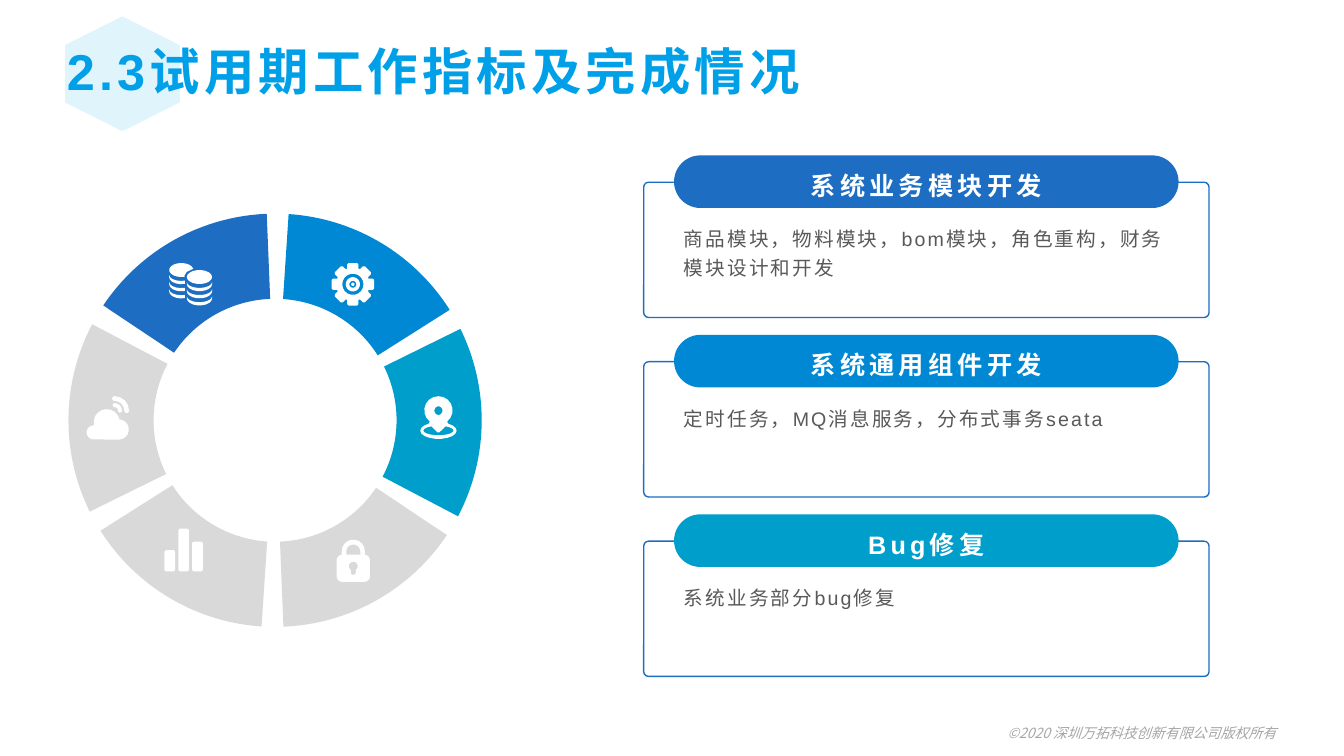
from math import cos, radians, sin

from lxml.etree import SubElement
from pptx import Presentation
from pptx.dml.color import RGBColor
from pptx.enum.shapes import MSO_SHAPE
from pptx.enum.text import MSO_ANCHOR, MSO_AUTO_SIZE, PP_ALIGN
from pptx.oxml.ns import qn
from pptx.util import Pt

COLORS = {
    "title": "00A0E9", "badge": "E0F4FC", "navy": "1D6DC2", "blue": "0088D5",
    "teal": "009ECA", "gray": "D9D9D9", "white": "FFFFFF", "body": "595959",
    "footer": "A6A6A6",
}
PANELS = [
    ("系统业务模块开发", "商品模块，物料模块，bom模块，角色重构，财务模块设计和开发", "navy"),
    ("系统通用组件开发", "定时任务，MQ消息服务，分布式事务seata", "blue"),
    ("Bug修复", "系统业务部分bug修复", "teal"),
]


def color(name):
    """Return the named colour."""
    return RGBColor.from_string(COLORS[name])


def paint(shape, fill, line=None):
    """Give a shape a flat fill and line; None leaves either out."""
    shape.shadow.inherit = False
    if fill:
        shape.fill.solid()
        shape.fill.fore_color.rgb = color(fill)
    else:
        shape.fill.background()
    if line:
        shape.line.color.rgb = color(line)
        shape.line.width = Pt(1)
    else:
        shape.line.fill.background()


def add_part(slide, kind, box, fill, adjustments=(), rotation=0, line=None):
    """Add a preset shape."""
    shape = slide.shapes.add_shape(kind, *map(Pt, box))
    shape.rotation = rotation
    for index, value in enumerate(adjustments):
        shape.adjustments[index] = value
    paint(shape, fill, line)
    return shape


def write_text(text_frame, text, size, fill, font="Arial", bold=False, italic=False,
               spacing=0, align=PP_ALIGN.LEFT, anchor=MSO_ANCHOR.TOP, line_spacing=1.0):
    """Fill a text frame with one formatted paragraph."""
    text_frame.word_wrap = True
    text_frame.auto_size = MSO_AUTO_SIZE.NONE
    text_frame.vertical_anchor = anchor
    text_frame.text = text
    paragraph = text_frame.paragraphs[0]
    paragraph.alignment = align
    paragraph.line_spacing = line_spacing
    for run in paragraph.runs:
        run.font.size = Pt(size)
        run.font.bold = bold
        run.font.italic = italic
        run.font.color.rgb = color(fill)
        run.font.name = font
        properties = run.font._element
        properties.set("spc", str(int(spacing * 100)))
        SubElement(properties, qn("a:ea")).set("typeface", "Noto Sans CJK SC")


def add_header(slide, left, top, width, height):
    """Place the badge and the title."""
    badge = add_part(slide, MSO_SHAPE.HEXAGON, (left + 6.6, top - 13.2, 82, 82),
                     "badge", rotation=90)
    title = slide.shapes.title
    title._element.addprevious(badge._element)
    title.left, title.top, title.width, title.height = map(Pt, (left, top, width, height))
    frame = title.text_frame
    frame.margin_left, frame.margin_right = Pt(8), Pt(6)
    frame.margin_top = frame.margin_bottom = Pt(3)
    write_text(frame, "2.3试用期工作指标及完成情况", 36, "title", bold=True,
               spacing=3, anchor=MSO_ANCHOR.MIDDLE)


def add_footer(slide, left, top, width, height):
    """Place the copyright line."""
    box = slide.shapes.add_textbox(*map(Pt, (left, top, width, height)))
    write_text(box.text_frame, "©2020 深圳万拓科技创新有限公司版权所有", 10, "footer",
               font="Noto Sans CJK SC", italic=True, align=PP_ALIGN.RIGHT,
               anchor=MSO_ANCHOR.MIDDLE)


def arc(x, y, radius_x, radius_y, start=0, end=360):
    """Return points along an elliptical arc, in degrees clockwise from the right."""
    steps = max(3, round(abs(end - start) / 20))
    angles = [radians(start + (end - start) * step / steps) for step in range(steps + 1)]
    return [(x + radius_x * cos(angle), y + radius_y * sin(angle)) for angle in angles]


def coins():
    """Return the outlines of two stacks of coins."""
    outlines = [arc(21.6, 10, 9, 5), arc(8.65, 5, 8.65, 5, 73, 350) + [(12.5, 6.3), (10.8, 9)]]
    for x, y, radius, start in ((8.65, 5, 8.65, 73), (21.6, 10, 9, 0)):
        for level in (1, 2, 3):
            middle = y + 5.1 * level
            outlines.append(arc(x, middle, radius, 5, start, 180)
                            + arc(x, middle - 1.5, radius, 4.2, 180, start))
    return outlines


def gear():
    """Return the outlines of an eight-toothed gear."""
    teeth = []
    for angle in range(0, 360, 45):
        turn = radians(angle)
        for x, y in ((11.2, -4), (14.2, -4), (15.2, -3), (15.2, 3), (14.2, 4), (11.2, 4)):
            teeth.append((15.2 + x * cos(turn) - y * sin(turn),
                          15.2 + x * sin(turn) + y * cos(turn)))
    return [teeth] + [arc(15.2, 15.2, radius, radius) for radius in (7.6, 5.1, 2.5, 1.2)]


def pin():
    """Return the outlines of a map pin standing in a ring."""
    return [
        arc(13, 24.6, 13, 5.9, -58, 238) + arc(13, 10.1, 10.1, 10.1, 128, 412),
        arc(13, 10.3, 2.9, 3.1),
        arc(13, 24.5, 10.8, 3.4, -62, 242) + [(12.4, 25.9), (13.6, 25.9)],
    ]


def lock():
    """Return the outlines of a padlock."""
    body = arc(11.9, 8.5, 8.3, 8.5, 180, 360)
    for x, y, start, end in ((19.8, 14.8, -84, 0), (19.8, 26.2, 0, 90),
                             (4, 26.2, 90, 180), (4, 14.8, 180, 264)):
        body += arc(x, y, 4, 4, start, end)
    return [body,
            arc(11.9, 8.5, 5, 5, 180, 360) + [(16.9, 10.8), (6.9, 10.8)],
            arc(11.9, 19, 3.2, 3.2, 125, 415) + arc(11.9, 23.4, 1.8, 1.8, 0, 180)]


def bars():
    """Return the outlines of three columns."""
    outlines = []
    for index, height in enumerate((15.2, 30.6, 21.3)):
        left, top = index * 9.9, 30.6 - height
        right = left + 7.6
        outlines.append([(left, top + 1), (left + 1, top), (right - 1, top), (right, top + 1),
                         (right, 29.6), (right - 1, 30.6), (left + 1, 30.6), (left, 29.6)])
    return outlines


def cloud():
    """Return the outlines of a cloud with two signal arcs."""
    outlines = [arc(14.4, 18.7, 9.4, 9.4, 170, 345) + arc(23, 23.8, 7.2, 7.2, -90, 90)
                + arc(5, 25.9, 5, 5, 90, 270)]
    for outer, inner in ((10.3, 6.9), (5.3, 2.5)):
        middle, cap = (outer + inner) / 2, (outer - inner) / 2
        outlines.append(arc(20, 10.3, outer, outer, -90, 0)
                        + arc(20 + middle, 10.3, cap, cap, 0, 180)
                        + arc(20, 10.3, inner, inner, 0, -90)
                        + arc(20, 10.3 - middle, cap, cap, 90, 270))
    return outlines


def add_icon(slide, outlines, left, top):
    """Draw outlines as one white shape with its corner at the given point."""
    builder = None
    for outline in outlines:
        first, *rest = [(Pt(left + x), Pt(top + y)) for x, y in outline]
        if builder is None:
            builder = slide.shapes.build_freeform(*first, scale=1.0)
        else:
            builder.move_to(*first)
        builder.add_line_segments(rest, close=True)
    paint(builder.convert_to_shape(), "white")


def add_wheel(slide, left, top, size):
    """Draw the six ring segments and their icons."""
    segments = [
        (270, "navy", coins, 72, 35.3), (330, "blue", gear, 188, 35.3),
        (30, "teal", pin, 251.3, 130.4), (90, "gray", lock, 191.6, 232.8),
        (150, "gray", bars, 68.6, 225), (210, "gray", cloud, 13, 130.4),
    ]
    for rotation, fill, *_ in segments:
        add_part(slide, MSO_SHAPE.BLOCK_ARC, (left, top, size, size), fill,
                 (182.263, 214.619, 0.206), rotation)
    for _, _, icon, x, y in segments:
        add_icon(slide, icon(), left + x, top + y)


def add_panel(slide, left, top, width, heading, body, fill):
    """Draw an outlined panel with a heading pill and a body text."""
    inset, pill_height = 21.7, 37.6
    inner_width = width - 2 * inset
    rounded = MSO_SHAPE.ROUNDED_RECTANGLE
    add_part(slide, rounded, (left, top + 19.2, width, 96.6), None, (0.036,), line="navy")
    add_part(slide, rounded, (left + inset, top, inner_width, pill_height), fill, (0.5,))
    title = slide.shapes.add_textbox(Pt(left + 87), Pt(top + 0.4), Pt(229.7), Pt(pill_height))
    write_text(title.text_frame, heading, 18, "white", bold=True, spacing=3,
               align=PP_ALIGN.CENTER, anchor=MSO_ANCHOR.MIDDLE, line_spacing=1.2)
    detail = slide.shapes.add_textbox(Pt(left + inset), Pt(top + 44.4), Pt(inner_width), Pt(57))
    write_text(detail.text_frame, body, 14, "body", spacing=1.5, line_spacing=1.2)


def main():
    """Build and save the slide."""
    presentation = Presentation()
    presentation.slide_width, presentation.slide_height = Pt(960), Pt(540)
    slide = presentation.slides.add_slide(presentation.slide_layouts[5])
    add_header(slide, 39.8, 24.9, 743, 51)
    add_footer(slide, 501, 509, 417.6, 28.8)
    add_wheel(slide, 48.9, 152.6, 295.2)
    for index, (heading, body, fill) in enumerate(PANELS):
        add_panel(slide, 459.8, 111 + index * 128.2, 403.8, heading, body, fill)
    presentation.save("out.pptx")


if __name__ == "__main__":
    main()
